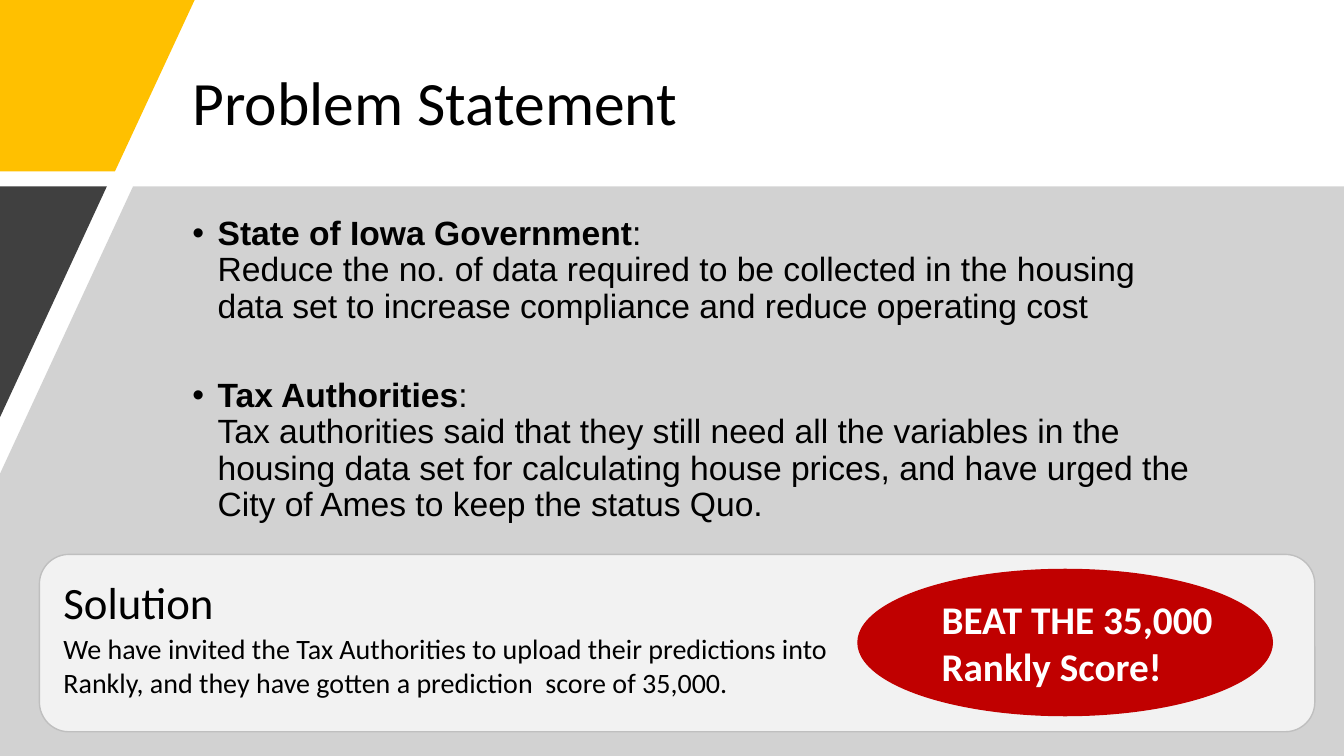
from lxml.etree import SubElement
from pptx import Presentation
from pptx.dml.color import RGBColor
from pptx.enum.shapes import MSO_SHAPE
from pptx.enum.text import MSO_ANCHOR
from pptx.oxml.ns import qn
from pptx.util import Inches, Pt

COLORS = {
    "gold": "FFC000", "grey": "A6A6A6", "dark": "404040", "panel": "F2F2F2",
    "edge": "BFBFBF", "red": "C00000", "black": "000000", "white": "FFFFFF",
}
color = {name: RGBColor.from_string(value) for name, value in COLORS.items()}

prs = Presentation()
prs.slide_width, prs.slide_height = Inches(13.33), Inches(7.5)
s = prs.slides.add_slide(prs.slide_layouts[6])


def share(*values):
    """Turn percentages of the slide's width and height, in turn, into lengths."""
    sides = (prs.slide_width, prs.slide_height)
    return [int(v * sides[i % 2] / 100) for i, v in enumerate(values)]


def add_text(box, paragraphs, size, font="Calibri", fill="black", bold=False,
             anchor=MSO_ANCHOR.TOP, spacing=None, before=0, gap=0, bullet=None):
    """Each paragraph is a list of lines; each line is a list of (text, bold) or text."""
    tf = s.shapes.add_textbox(*share(*box)).text_frame
    tf.word_wrap = True
    tf.vertical_anchor = anchor
    for i, lines in enumerate(paragraphs):
        p = tf.paragraphs[0] if i == 0 else tf.add_paragraph()
        p.line_spacing = spacing
        p.space_before = Pt(before + (gap if i else 0))
        if bullet:
            pPr = p._p.get_or_add_pPr()
            pPr.set("marL", str(Inches(0.25)))
            pPr.set("indent", str(-Inches(0.25)))
            SubElement(pPr, qn("a:buFont")).set("typeface", font)
            SubElement(pPr, qn("a:buChar")).set("char", bullet)
        for n, line in enumerate(lines):
            if n:
                p.add_line_break()
            for part in line:
                words, strong = part if isinstance(part, tuple) else (part, bold)
                r = p.add_run()
                r.text = words
                r.font.name, r.font.size, r.font.bold = font, Pt(size), strong
                r.font.color.rgb = color[fill]


# Slanted background areas
band_top = 24.67
areas = [
    ("gold", [(0, 0), (14.48, 0), (8.55, 22.67), (0, 22.67)]),
    ("grey", [(9.9, band_top), (100, band_top), (100, 100), (0, 100), (0, 62.67)]),
    ("dark", [(0, band_top), (7.95, band_top), (0, 55.2)]),
]
for name, corners in areas:
    points = [share(*corner) for corner in corners]
    outline = s.shapes.build_freeform(*points[0])
    outline.add_line_segments(points[1:], close=True)
    sp = outline.convert_to_shape()
    sp.shadow.inherit = False
    sp.fill.solid()
    sp.fill.fore_color.rgb = color[name]
    sp.line.fill.background()
    if name == "grey":
        hue = sp._element.spPr.find(qn("a:solidFill"))[0]
        SubElement(hue, qn("a:alpha")).set("val", "50000")

# Title and problem bullets
left, width = 13.58, 76.82
add_text((left, 5.33, width, 17.33), [[["Problem Statement"]]], 44,
         anchor=MSO_ANCHOR.MIDDLE, spacing=0.9)
problems = [
    ("State of Iowa Government",
     "Reduce the no. of data required to be collected in the housing data set "
     "to increase compliance and reduce operating cost"),
    ("Tax Authorities",
     "Tax authorities said that they still need all the variables in the housing data set "
     "for calculating house prices, and have urged the City of Ames to keep the status Quo."),
]
add_text((left, 28, width, 45.33),
         [[[(who, True), ":"], [what]] for who, what in problems], 24,
         font="Arial", spacing=0.9, before=10, gap=28, bullet="•")

# Solution panel and score badge
for kind, box, fill, line in [
    (MSO_SHAPE.ROUNDED_RECTANGLE, (2.93, 73.33, 94.9, 23.47), "panel", "edge"),
    (MSO_SHAPE.OVAL, (63.84, 75.33, 30.83, 19.33), "red", "red"),
]:
    sp = s.shapes.add_shape(kind, *share(*box))
    sp.shadow.inherit = False
    sp.fill.solid()
    sp.fill.fore_color.rgb = color[fill]
    sp.line.color.rgb = color[line]
    sp.line.width = Pt(1)

add_text((3.98, 75.33, 49.96, 8.53), [[["Solution"]]], 32)
add_text((3.98, 82.93, 61.22, 10.27),
         [[["We have invited the Tax Authorities to upload their predictions into "
            "Rankly, and they have gotten a prediction  score of 35,000."]]], 20)
add_text((69.32, 78.13, 23.78, 13.87), [[["BEAT THE 35,000 Rankly Score!"]]], 28,
         fill="white", bold=True)

prs.save("out.pptx")
